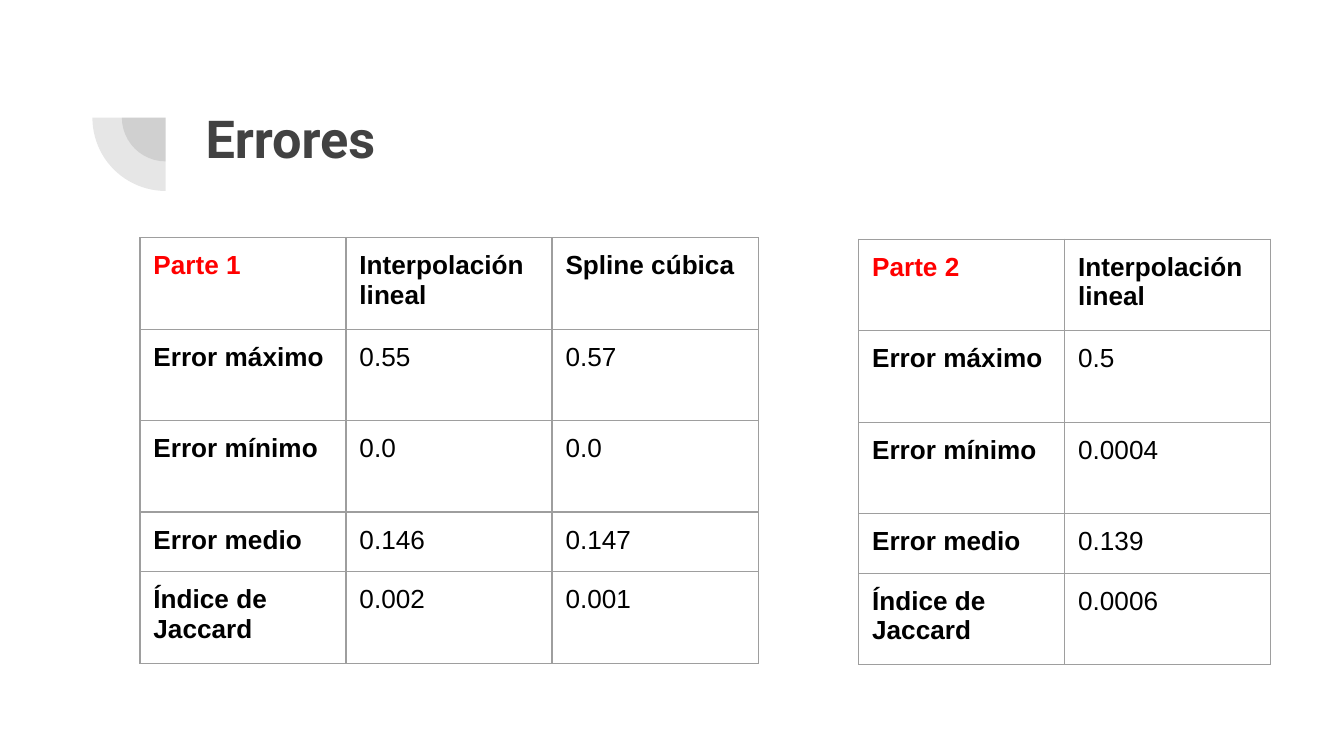
from dataclasses import dataclass

from lxml.etree import SubElement
from pptx import Presentation
from pptx.dml.color import RGBColor
from pptx.enum.shapes import MSO_SHAPE
from pptx.oxml.ns import qn
from pptx.slide import Slide
from pptx.text.text import TextFrame
from pptx.util import Pt

GREY, BORDER, BLACK, RED = "424242", "9E9E9E", "000000", "FF0000"
INSET = 7.2
COL_WIDTH = 110.4
ROW_HEIGHTS = (49, 49, 49, 32, 49)
ROW_LABELS = ("Error máximo", "Error mínimo", "Error medio", "Índice de Jaccard")


@dataclass
class ErrorTable:
    left: float
    top: float
    title: str
    columns: dict[str, tuple[str, ...]]  # method -> one value per row label


TABLES = (
    ErrorTable(75, 127.4, "Parte 1", {
        "Interpolación lineal": ("0.55", "0.0", "0.146", "0.002"),
        "Spline cúbica": ("0.57", "0.0", "0.147", "0.001"),
    }),
    ErrorTable(460, 128.2, "Parte 2", {
        "Interpolación lineal": ("0.5", "0.0004", "0.139", "0.0006"),
    }),
)


def rgb(color: str) -> RGBColor:
    return RGBColor.from_string(color)


def add_run(tf: TextFrame, text: str, size: float, font: str, color: str, bold: bool) -> None:
    r = tf.paragraphs[0].add_run()
    r.text = text
    r.font.size, r.font.name, r.font.bold = Pt(size), font, bold
    r.font.color.rgb = rgb(color)


def add_quarter(s: Slide, cx: float, cy: float, radius: float) -> None:
    """Draw the lower left quarter of a disc, nearly transparent."""
    sp = s.shapes.add_shape(MSO_SHAPE.PIE, Pt(cx - radius), Pt(cy - radius),
                            Pt(2 * radius), Pt(2 * radius))
    sp.adjustments[0], sp.adjustments[1] = 54, 108  # 90 to 180 degrees
    sp.shadow.inherit = False
    sp.line.fill.background()
    sp.fill.solid()
    sp.fill.fore_color.rgb = rgb(GREY)
    clr = sp.fill._xPr.find(f"{qn('a:solidFill')}/{qn('a:srgbClr')}")
    SubElement(clr, qn("a:alpha"), val="13000")


def add_title(s: Slide, text: str) -> None:
    sp = s.shapes.add_textbox(Pt(103), Pt(49.7), Pt(553.7), Pt(78.5))
    tf = sp.text_frame
    tf.word_wrap = True
    tf.margin_left = tf.margin_right = tf.margin_top = tf.margin_bottom = Pt(INSET)
    add_run(tf, text, 28, "Roboto", GREY, True)


def add_error_table(s: Slide, spec_table: ErrorTable) -> None:
    rows = [(spec_table.title, *spec_table.columns),
            *zip(ROW_LABELS, *spec_table.columns.values())]
    n_cols = len(rows[0])
    table = s.shapes.add_table(len(rows), n_cols, Pt(spec_table.left), Pt(spec_table.top),
                               Pt(n_cols * COL_WIDTH), Pt(sum(ROW_HEIGHTS))).table
    table.first_row = table.horz_banding = False
    for col in table.columns:
        col.width = Pt(COL_WIDTH)
    for i, (row, height) in enumerate(zip(rows, ROW_HEIGHTS)):
        table.rows[i].height = Pt(height)
        for j, text in enumerate(row):
            cell = table.cell(i, j)
            cell.margin_left = cell.margin_right = Pt(INSET)
            cell.margin_top = cell.margin_bottom = Pt(INSET)
            # Borders come before the fill in the cell properties
            for side in ("a:lnL", "a:lnR", "a:lnT", "a:lnB"):
                ln = SubElement(cell._tc.get_or_add_tcPr(), qn(side), w=str(Pt(0.75)))
                fill = SubElement(ln, qn("a:solidFill"))
                SubElement(fill, qn("a:srgbClr"), val=BORDER)
            cell.fill.background()
            color = RED if i == j == 0 else BLACK
            add_run(cell.text_frame, text, 14, "Arial", color, i == 0 or j == 0)


def main() -> None:
    prs = Presentation()
    prs.slide_width, prs.slide_height = Pt(720), Pt(405)
    s = prs.slides.add_slide(prs.slide_layouts[6])

    # Corner ornament
    for radius in (23.5, 39.3):
        add_quarter(s, 88.8, 63, radius)

    # Heading
    add_title(s, "Errores")

    # Error tables
    for error_table in TABLES:
        add_error_table(s, error_table)

    prs.save("out.pptx")


if __name__ == "__main__":
    main()
